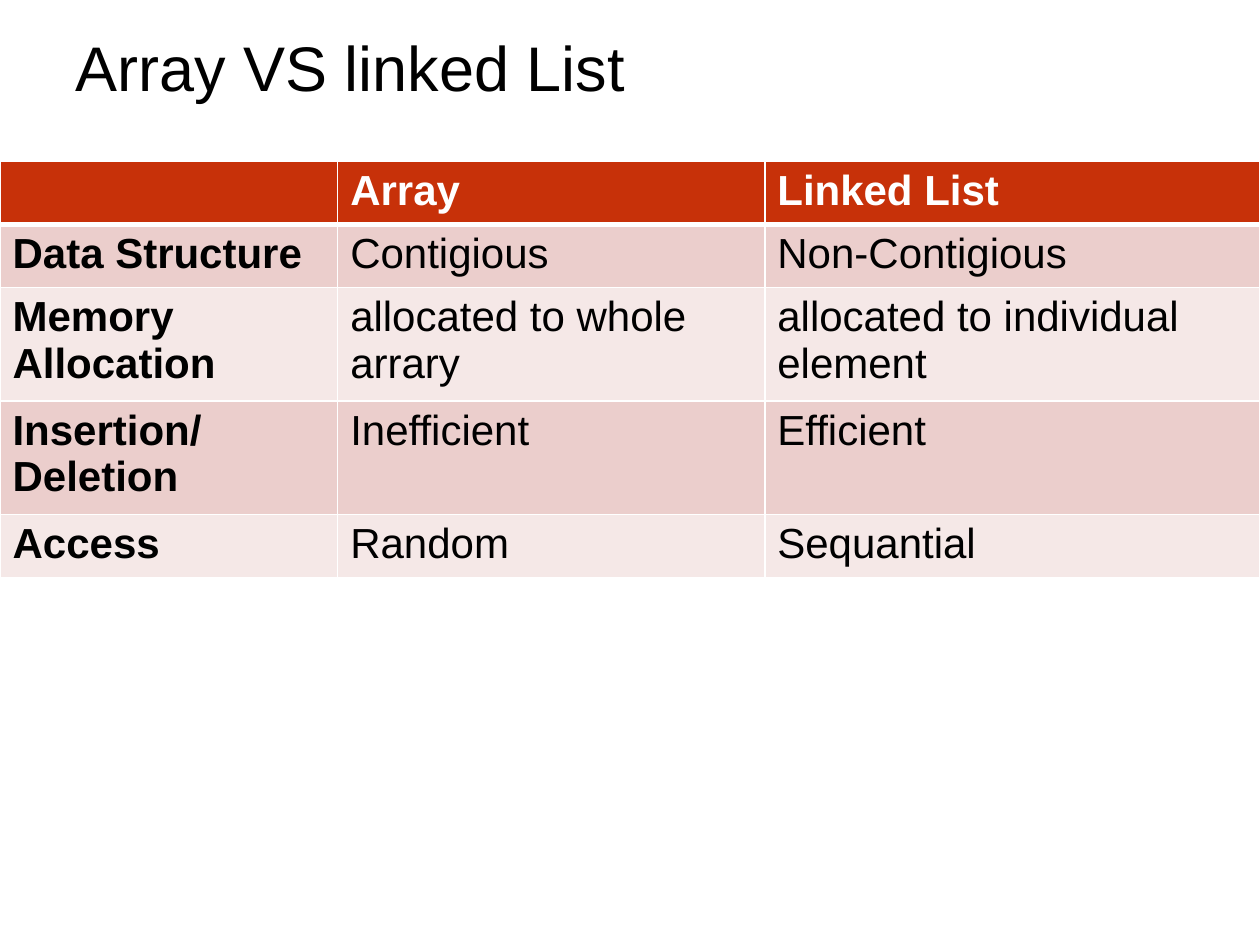
import pptx
import pptx.dml.color
import pptx.enum.text
import pptx.oxml
import pptx.oxml.ns
import pptx.util
from pptx.util import Inches

COLORS = {
    "text": "000000",
    "header": "C73109",
    "band_dark": "EBCECC",
    "band_light": "F5E8E7",
    "white": "FFFFFF",
}
COMPARISON = [
    ["", "Array", "Linked List"],
    ["Data Structure", "Contigious", "Non-Contigious"],
    ["Memory Allocation", "allocated to whole arrary", "allocated to individual element"],
    ["Insertion/ Deletion", "Inefficient", "Efficient"],
    ["Access", "Random", "Sequantial"],
]
COLUMN_WIDTHS = [2.68, 3.39, 3.93]
ROW_HEIGHTS = [0.47, 0.47, 0.78, 0.47, 0.47]


def rgb(name):
    return pptx.dml.color.RGBColor.from_string(COLORS[name])


def write_text(frame, text, font="Arial", size=24, color="text", bold=False):
    frame.word_wrap = True
    run = frame.paragraphs[0].add_run()
    run.text = text
    run.font.name = font
    run.font.size = pptx.util.Pt(size)
    run.font.color.rgb = rgb(color)
    run.font.bold = bold


def set_borders(cell, color="white", **widths):
    """Draw cell edges; widths maps L, R, T and B to points."""
    properties = cell._tc.get_or_add_tcPr()
    for position, side in enumerate("LRTB"):
        width = pptx.util.Pt(widths.get(side, 1))
        edge = pptx.oxml.parse_xml(
            f'<a:ln{side} {pptx.oxml.ns.nsdecls("a")} w="{width}"><a:solidFill>'
            f'<a:srgbClr val="{COLORS[color]}"/></a:solidFill></a:ln{side}>'
        )
        properties.insert(position, edge)


class SlideBuilder:
    def __init__(self, slide, font="Arial"):
        self.slide = slide
        self.font = font

    def title(self, text, left, top, width, height):
        box = self.slide.shapes.add_textbox(
            Inches(left), Inches(top), Inches(width), Inches(height))
        box.text_frame.vertical_anchor = pptx.enum.text.MSO_ANCHOR.MIDDLE
        write_text(box.text_frame, text, font=self.font, size=36)

    def table(self, rows, left, top, widths, heights):
        """Add a table with a coloured header, bold first column and banded rows."""
        table = self.slide.shapes.add_table(
            len(rows), len(widths), Inches(left), Inches(top),
            Inches(sum(widths)), Inches(sum(heights))).table
        for column, width in zip(table.columns, widths):
            column.width = Inches(width)
        for r, (row, height) in enumerate(zip(rows, heights)):
            table.rows[r].height = Inches(height)
            is_header = r == 0
            band = "band_dark" if r % 2 else "band_light"
            for c, text in enumerate(row):
                cell = table.cell(r, c)
                cell.fill.solid()
                cell.fill.fore_color.rgb = rgb("header" if is_header else band)
                set_borders(cell, T=3 if r == 1 else 1, B=3 if is_header else 1)
                if text:
                    write_text(cell.text_frame, text, font=self.font,
                               color="white" if is_header else "text",
                               bold=is_header or c == 0)


def main():
    deck = pptx.Presentation()
    deck.slide_width, deck.slide_height = Inches(10), Inches(7.5)
    builder = SlideBuilder(deck.slides.add_slide(deck.slide_layouts[6]))
    builder.title("Array VS linked List", 0.5, 0.21, 9, 0.64)
    builder.table(COMPARISON, 0, 1.28, COLUMN_WIDTHS, ROW_HEIGHTS)
    deck.save("out.pptx")


if __name__ == "__main__":
    main()
